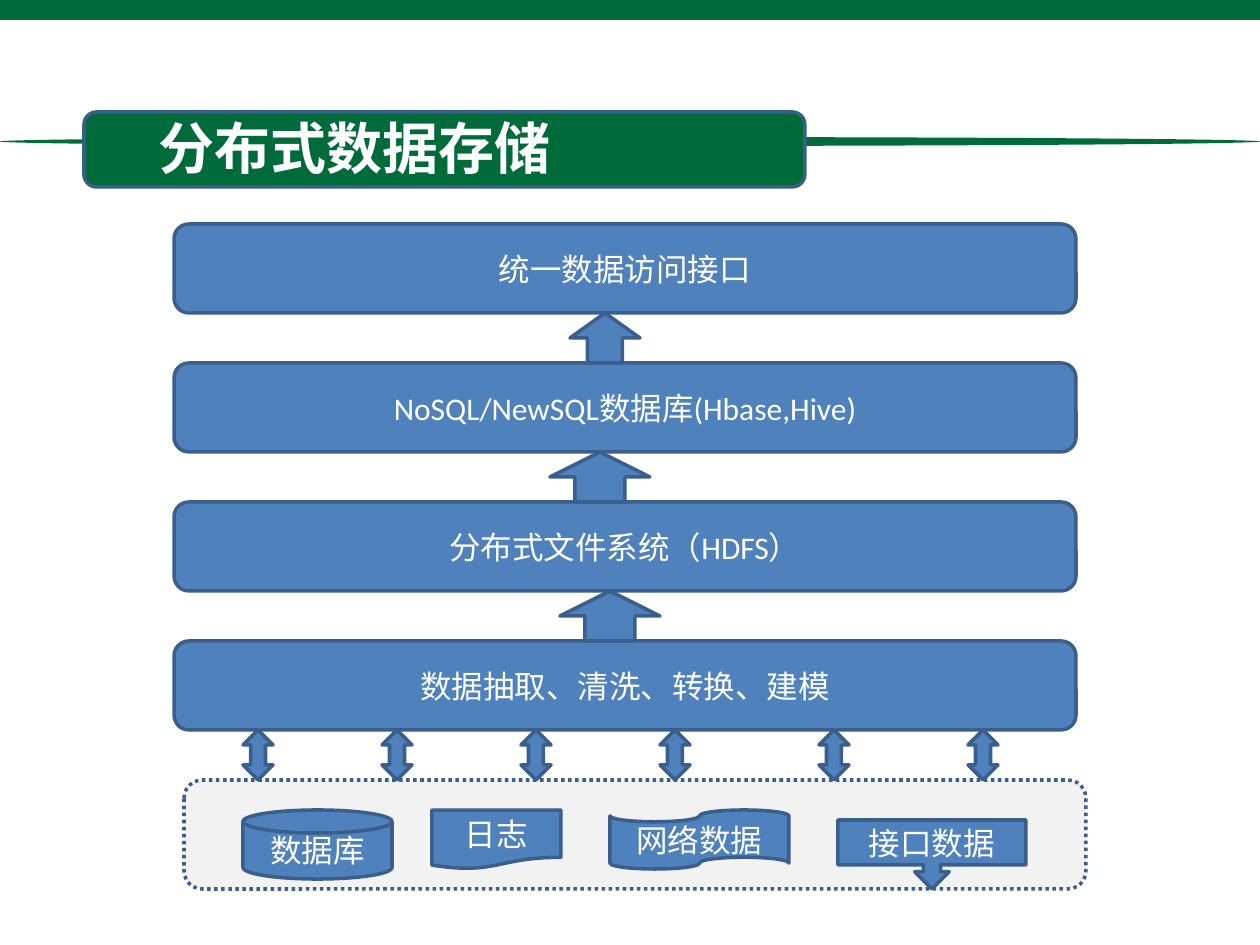
from lxml import etree
from pptx import Presentation
from pptx import util as u
from pptx.dml.color import RGBColor
from pptx.enum import dml, shapes, text
from pptx.oxml.ns import qn

COLORS = {"blue": "4F81BD", "edge": "3A5F8C", "green": "006B3A",
          "title_edge": "395E8A", "pale": "F2F2F2", "white": "FFFFFF"}
CJK_FONT = "Noto Sans CJK SC"
KIND = shapes.MSO_SHAPE


def px(length):
    return u.Emu(round(length * 914400 / 126))


def add_part(kind, box, fill="blue", edge="edge", label=""):
    """Add a filled shape at box (left, top, width, height in px)."""
    part = slide.shapes.add_shape(kind, *map(px, box))
    part.shadow.inherit = False
    part.fill.solid()
    part.fill.fore_color.rgb = RGBColor.from_string(COLORS[fill])
    if edge:
        part.line.color.rgb = RGBColor.from_string(COLORS[edge])
        part.line.width = u.Pt(2)
    else:
        part.line.fill.background()
    if label:
        part.text_frame.text = label
        part.text_frame.vertical_anchor = text.MSO_ANCHOR.MIDDLE
        paragraph = part.text_frame.paragraphs[0]
        paragraph.alignment = text.PP_ALIGN.CENTER
        font = paragraph.runs[0].font
        font.size = u.Pt(18)
        font.name = "Calibri"
        font.color.rgb = RGBColor.from_string(COLORS["white"])
        etree.SubElement(font._element, qn("a:ea"), typeface=CJK_FONT)
    return part


prs = Presentation()
prs.slide_width, prs.slide_height = px(1260), px(945)
slide = prs.slides.add_slide(prs.slide_layouts[6])

# Storage layers, top to bottom
LAYER_LEFT, LAYER_TOP, LAYER_WIDTH, LAYER_HEIGHT, PITCH = 174, 224, 902, 89, 139
GAP = PITCH - LAYER_HEIGHT
layers = ["统一数据访问接口", "NoSQL/NewSQL数据库(Hbase,Hive)",
          "分布式文件系统（HDFS）", "数据抽取、清洗、转换、建模"]
for row, label in enumerate(layers):
    add_part(KIND.ROUNDED_RECTANGLE,
             (LAYER_LEFT, LAYER_TOP + row * PITCH, LAYER_WIDTH, LAYER_HEIGHT),
             label=label)

# Data source area
sources_top = LAYER_TOP + len(layers) * PITCH
source_area = add_part(KIND.ROUNDED_RECTANGLE,
                       (184, sources_top, LAYER_WIDTH, 109), fill="pale")
source_area.line.dash_style = dml.MSO_LINE.ROUND_DOT

# Arrows between the sources and the layers
for left in (243, 382, 521, 660, 819, 968):
    add_part(KIND.UP_DOWN_ARROW, (left, sources_top - GAP, 30, GAP))
for row, (left, width) in enumerate([(570, 70), (550, 100), (560, 100)]):
    add_part(KIND.UP_ARROW,
             (left, LAYER_TOP + row * PITCH + LAYER_HEIGHT, width, GAP))

# Data sources
sources = [
    (KIND.FLOWCHART_MAGNETIC_DISK, (243, 810, 149, 69), "数据库"),
    (KIND.FLOWCHART_DOCUMENT, (432, 810, 129, 59), "日志"),
    (KIND.FLOWCHART_PUNCHED_TAPE, (610, 810, 179, 59), "网络数据"),
    (KIND.DOWN_ARROW_CALLOUT, (838, 820, 188, 69), "接口数据"),
]
for kind, box, label in sources:
    add_part(kind, box, label=label)

# Header
add_part(KIND.RECTANGLE, (0, 0, 1260, 20), fill="green", edge=None)
add_part(KIND.OVAL, (0, 137, 1260, 9), fill="green", edge=None)
add_part(KIND.ROUNDED_RECTANGLE, (84, 112, 721, 75),
         fill="green", edge="title_edge")
title = slide.shapes.add_textbox(*map(px, (146, 107, 653, 81)))
title.text_frame.word_wrap = True
title.text_frame.text = "分布式数据存储"
title_font = title.text_frame.paragraphs[0].runs[0].font
title_font.size = u.Pt(32)
title_font.bold = True
title_font.name = CJK_FONT
title_font.color.rgb = RGBColor.from_string(COLORS["white"])
etree.SubElement(title_font._element, qn("a:ea"), typeface=CJK_FONT)

prs.save("out.pptx")
